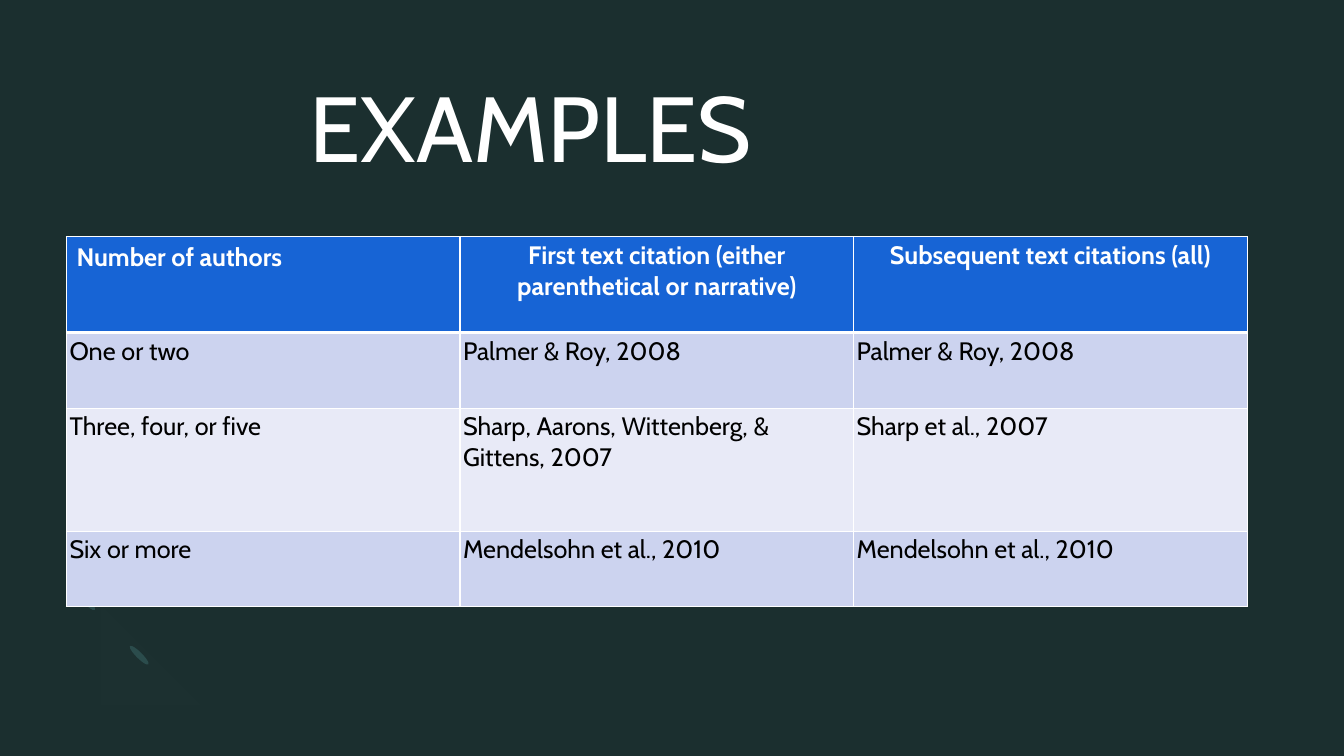
from lxml import etree
from pptx import Presentation
from pptx.dml.color import RGBColor
from pptx.enum.shapes import MSO_SHAPE
from pptx.enum.text import MSO_ANCHOR, PP_ALIGN
from pptx.oxml.ns import qn
from pptx.util import Inches, Pt

OVAL = MSO_SHAPE.OVAL
TOP = MSO_ANCHOR.TOP
LEFT, CENTER = PP_ALIGN.LEFT, PP_ALIGN.CENTER
FONT = "Cabin"


def paint(fill, color):
    fill.solid()
    fill.fore_color.rgb = RGBColor.from_string(color)


def write(para, text, size, color, bold=False):
    span = para.add_run()
    span.text = text
    span.font.name = FONT
    span.font.size = Pt(size)
    span.font.bold = bold
    span.font.color.rgb = RGBColor.from_string(color)


deck = Presentation()
deck.slide_width, deck.slide_height = Inches(13.33), Inches(7.5)
page = deck.slides.add_slide(deck.slide_layouts[5])
paint(page.background.fill, "1B2F2F")

for left, top in [(1.35, 6.37), (0.82, 5.83)]:
    petal = page.shapes.add_shape(OVAL, Inches(left), Inches(top), Inches(0.06), Inches(0.26))
    petal.rotation = 135
    petal.shadow.inherit = False
    paint(petal.fill, "2B4B4B")
    petal.line.fill.background()

inner_edge = [[(0.99, 6), (0.87, 6.11), (0.86, 6.29), (0.96, 6.38)],
              [(0.96, 6.38), (1.06, 6.48), (1.23, 6.47), (1.35, 6.36)]]
outer_edge = [[(1.52, 6.54), (1.3, 6.76), (0.95, 6.79), (0.76, 6.59)],
              [(0.76, 6.59), (0.56, 6.39), (0.58, 6.05), (0.81, 5.82)]]
arc_points = []
for curve in inner_edge + outer_edge:
    for step in range(13):
        t = step / 12
        weights = [(1 - t) ** 3, 3 * t * (1 - t) ** 2, 3 * t ** 2 * (1 - t), t ** 3]
        arc_points.append([sum(w * point[axis] for w, point in zip(weights, curve))
                           for axis in (0, 1)])
builder = page.shapes.build_freeform(*arc_points[0], scale=Inches(1))
builder.add_line_segments(arc_points[1:], close=True)
arc = builder.convert_to_shape()
arc.shadow.inherit = False
paint(arc.fill, "75AFAF")
arc.line.fill.background()
arc_color = arc.fill._xPr.find(qn("a:solidFill"))[0]
etree.SubElement(arc_color, qn("a:alpha"), val="1000")

rows = [
    ["Number of authors", "First text citation (either parenthetical or narrative)",
     "Subsequent text citations (all)"],
    ["One or two", "Palmer & Roy, 2008", "Palmer & Roy, 2008"],
    ["Three, four, or five", "Sharp, Aarons, Wittenberg, & Gittens, 2007", "Sharp et al., 2007"],
    ["Six or more", "Mendelsohn et al., 2010", "Mendelsohn et al., 2010"],
]
row_heights = [0.95, 0.75, 1.22, 0.75]
row_fills = ["1764D5", "CCD3EF", "E8EAF7", "CCD3EF"]
table = page.shapes.add_table(len(rows), 3, Inches(0.66), Inches(2.35),
                              Inches(11.71), Inches(sum(row_heights))).table

for row, texts in enumerate(rows):
    table.rows[row].height = Inches(row_heights[row])
    header = row == 0
    for column, text in enumerate(texts):
        cell = table.cell(row, column)
        corner = header and column == 0
        cell.margin_left = cell.margin_right = Inches(0.1 if corner else 0.03)
        cell.margin_top = cell.margin_bottom = Inches(0.05 if corner else 0.03)
        para = cell.text_frame.paragraphs[0]
        para.alignment = CENTER if header and column else LEFT
        write(para, text, 18, "FFFFFF" if header else "000000", header)
        properties = cell._tc.get_or_add_tcPr()
        for side in ("lnL", "lnR", "lnT", "lnB"):
            thick = (header and side == "lnB") or (row == 1 and side == "lnT")
            border = etree.SubElement(properties, qn("a:" + side), w=str(Pt(3 if thick else 1)))
            border_fill = etree.SubElement(border, qn("a:solidFill"))
            etree.SubElement(border_fill, qn("a:srgbClr"), val="FFFFFF")
        paint(cell.fill, row_fills[row])

title = page.shapes.title
title.left, title.top = Inches(2.97), Inches(0.65)
title.width, title.height = Inches(5.35), Inches(1.21)
title.text_frame.word_wrap = True
title.text_frame.vertical_anchor = TOP
heading = title.text_frame.paragraphs[0]
heading.alignment = LEFT
write(heading, "EXAMPLES", 66, "FFFFFF")

deck.save("out.pptx")
